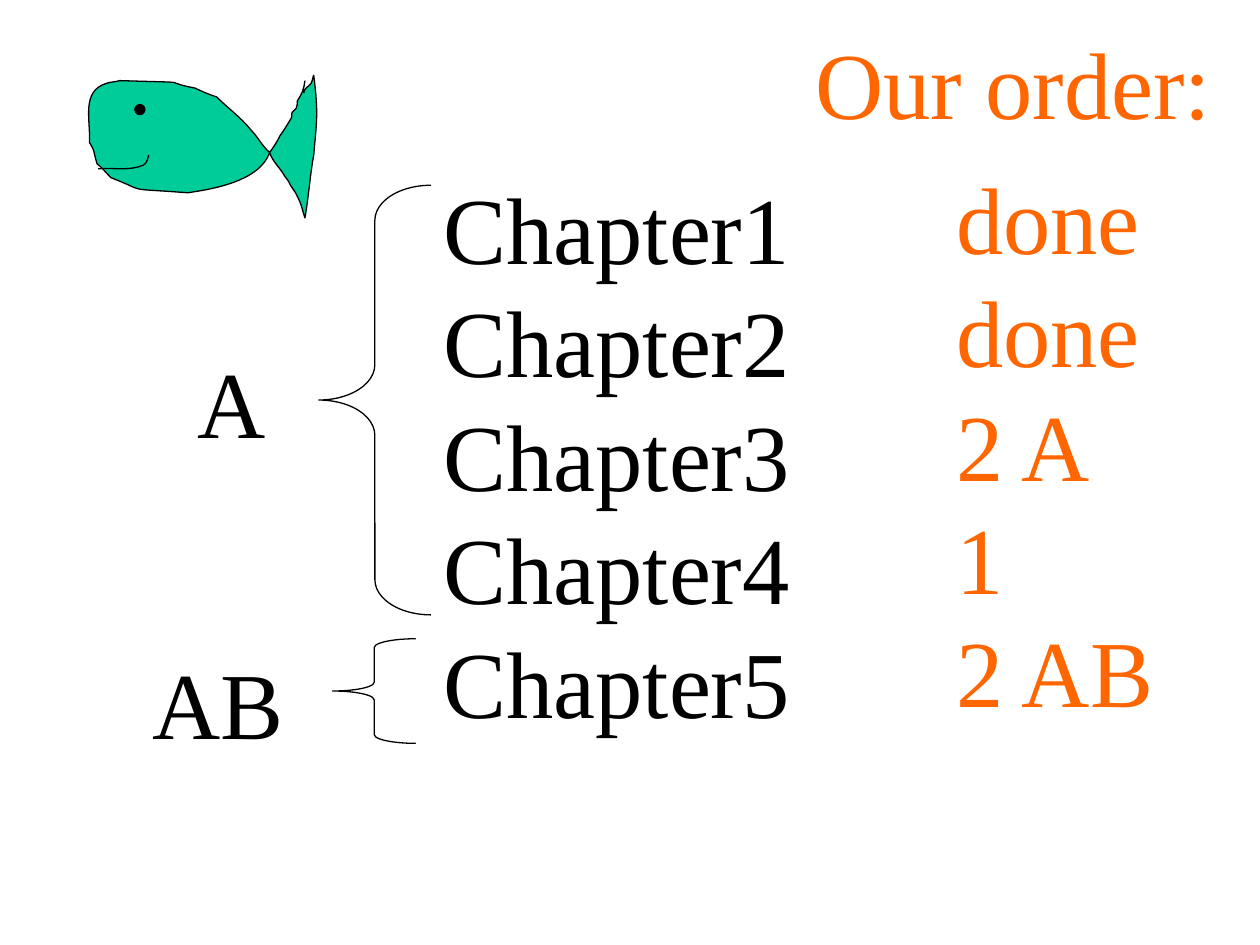
from dataclasses import dataclass

from lxml.etree import SubElement
from pptx import Presentation
from pptx.dml.color import RGBColor
from pptx.enum.shapes import MSO_SHAPE
from pptx.enum.text import MSO_AUTO_SIZE, PP_ALIGN
from pptx.oxml.ns import qn
from pptx.shapes.autoshape import Shape
from pptx.shapes.shapetree import GroupShapes, SlideShapes
from pptx.util import Inches, Pt

BLACK = RGBColor(0x00, 0x00, 0x00)
ORANGE = RGBColor(0xFF, 0x66, 0x00)
GREEN = RGBColor(0x00, 0xCC, 0x99)
FONT_NAME = "Times New Roman"
FONT_SIZE = Pt(54)
LINE_WIDTH = Pt(0.75)

Point = tuple[float, float]
Curve = tuple[float, float, float, float, float, float]


@dataclass(frozen=True)
class Label:
    """A text box with one paragraph per line."""

    left: float
    top: float
    width: float
    height: float
    lines: tuple[str, ...]
    color: RGBColor = BLACK
    alignment: PP_ALIGN = PP_ALIGN.LEFT


@dataclass(frozen=True)
class Brace:
    """A left brace and the height of its rounded corners."""

    left: float
    top: float
    width: float
    height: float
    corner: float


@dataclass(frozen=True)
class Outline:
    """An open outline of Bezier curves."""

    start: Point
    curves: tuple[Curve, ...]
    fill: RGBColor | None = None


LABELS = (
    Label(3.42, 1.3, 2.95, 4.6, tuple(f"Chapter{number}" for number in range(1, 6)),
          alignment=PP_ALIGN.CENTER),
    Label(1.47, 2.68, 0.74, 1, ("A",)),
    Label(1.11, 5.07, 1.24, 1, ("AB",)),
    Label(6.37, 0.15, 3.38, 1, ("Our order:",), ORANGE),
    Label(7.49, 1.22, 1.8, 4.6, ("done", "done", "2 A", "1", "2 AB"), ORANGE),
)

BRACES = (
    Brace(2.53, 1.47, 0.89, 3.41, 0.28),
    Brace(2.64, 5.07, 0.66, 0.83, 0.07),
)

FISH_BODY = Outline((2.42, 0.64), (
    (2.41, 0.71, 2.4, 0.74, 2.36, 0.8),
    (2.36, 0.82, 2.36, 0.84, 2.35, 0.86),
    (2.34, 0.87, 2.33, 0.87, 2.32, 0.89),
    (2.31, 0.9, 2.32, 0.93, 2.31, 0.94),
    (2.28, 0.99, 2.25, 1.04, 2.22, 1.08),
    (2.2, 1.13, 2.14, 1.21, 2.14, 1.21),
    (2.06, 1.44, 1.69, 1.5, 1.49, 1.53),
    (0.96, 1.49, 1.19, 1.53, 0.88, 1.41),
    (0.84, 1.37, 0.81, 1.33, 0.77, 1.3),
    (0.73, 1.16, 0.76, 1.22, 0.71, 1.13),
    (0.72, 0.95, 0.64, 0.72, 0.85, 0.66),
    (0.88, 0.65, 0.92, 0.65, 0.95, 0.64),
    (1.61, 0.66, 1.24, 0.64, 1.55, 0.7),
    (1.61, 0.73, 1.66, 0.75, 1.72, 0.77),
    (1.81, 0.86, 1.91, 0.93, 1.99, 1.03),
    (2.05, 1.09, 2.08, 1.16, 2.14, 1.21),
    (2.16, 1.28, 2.23, 1.34, 2.26, 1.4),
    (2.27, 1.41, 2.29, 1.44, 2.29, 1.44),
    (2.31, 1.49, 2.34, 1.51, 2.36, 1.56),
    (2.39, 1.61, 2.4, 1.67, 2.42, 1.73),
    (2.45, 1.56, 2.46, 1.39, 2.49, 1.23),
    (2.51, 0.98, 2.53, 0.91, 2.49, 0.6),
    (2.49, 0.58, 2.48, 0.64, 2.47, 0.66),
    (2.45, 0.69, 2.41, 0.7, 2.41, 0.74),
), GREEN)

FISH_MOUTH = Outline((0.78, 1.34), (
    (0.9, 1.33, 1.03, 1.36, 1.14, 1.31),
    (1.17, 1.3, 1.18, 1.23, 1.18, 1.23),
))


def style_shape(shape: Shape, fill: RGBColor | None = None) -> None:
    """Give a shape a thin black line, an optional fill and no shadow."""
    shape.shadow.inherit = False
    shape.line.color.rgb = BLACK
    shape.line.width = LINE_WIDTH
    if fill is None:
        shape.fill.background()
    else:
        shape.fill.solid()
        shape.fill.fore_color.rgb = fill


def add_label(shapes: SlideShapes, label: Label) -> None:
    """Draw a text box."""
    box = shapes.add_textbox(Inches(label.left), Inches(label.top),
                             Inches(label.width), Inches(label.height))
    frame = box.text_frame
    frame.word_wrap = False
    frame.auto_size = MSO_AUTO_SIZE.SHAPE_TO_FIT_TEXT
    for index, line in enumerate(label.lines):
        paragraph = frame.add_paragraph() if index else frame.paragraphs[0]
        paragraph.alignment = label.alignment
        run = paragraph.add_run()
        run.text = line
        run.font.name = FONT_NAME
        run.font.size = FONT_SIZE
        run.font.color.rgb = label.color


def add_brace(shapes: SlideShapes, brace: Brace) -> None:
    """Draw a left brace."""
    shape = shapes.add_shape(MSO_SHAPE.LEFT_BRACE, Inches(brace.left), Inches(brace.top),
                             Inches(brace.width), Inches(brace.height))
    shape.adjustments[0] = brace.corner / min(brace.width, brace.height)
    shape.adjustments[1] = 0.5
    style_shape(shape)


def bend_segments(shape: Shape) -> None:
    """Turn every three line segments of a freeform into one Bezier curve."""
    outline = next(shape.element.iter(qn("a:path")))
    segments = outline.findall(qn("a:lnTo"))
    for first in range(0, len(segments), 3):
        curve = SubElement(outline, qn("a:cubicBezTo"))
        for segment in segments[first:first + 3]:
            curve.append(segment[0])
            outline.remove(segment)


def add_outline(shapes: GroupShapes, outline: Outline) -> None:
    """Draw an open curved outline."""
    points = [(Inches(curve[index]), Inches(curve[index + 1]))
              for curve in outline.curves for index in (0, 2, 4)]
    builder = shapes.build_freeform(*(Inches(value) for value in outline.start))
    builder.add_line_segments(points, close=False)
    shape = builder.convert_to_shape()
    bend_segments(shape)
    style_shape(shape, outline.fill)


def add_fish(shapes: SlideShapes) -> None:
    """Draw the fish as a group of body, eye and mouth."""
    fish = shapes.add_group_shape().shapes
    add_outline(fish, FISH_BODY)
    eye = fish.add_shape(MSO_SHAPE.OVAL, Inches(1.07), Inches(0.83),
                         Inches(0.08), Inches(0.08))
    style_shape(eye, BLACK)
    add_outline(fish, FISH_MOUTH)


def main() -> None:
    """Build the chapter order slide."""
    presentation = Presentation()
    presentation.slide_width = Inches(10)
    presentation.slide_height = Inches(7.5)
    slide = presentation.slides.add_slide(presentation.slide_layouts[6])
    for label in LABELS:
        add_label(slide.shapes, label)
    for brace in BRACES:
        add_brace(slide.shapes, brace)
    add_fish(slide.shapes)
    presentation.save("out.pptx")


if __name__ == "__main__":
    main()
